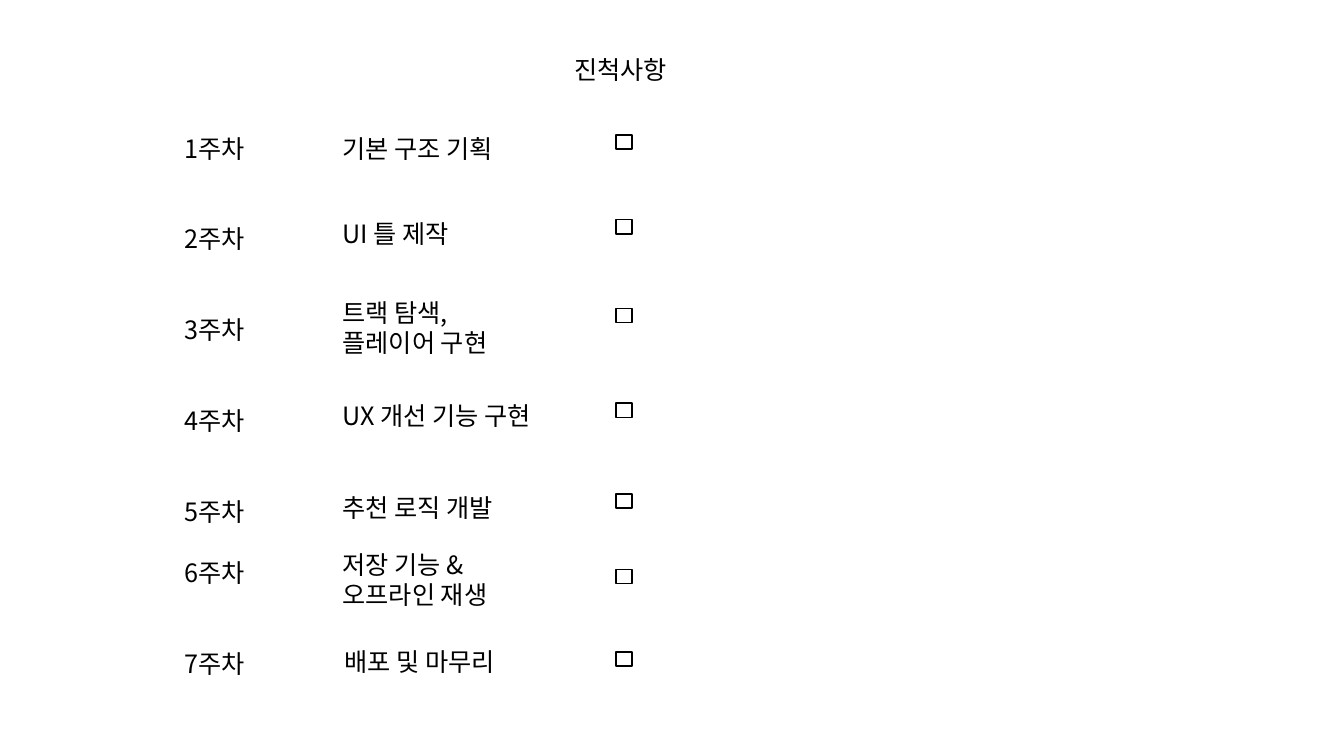
"""Build a seven-week progress checklist slide."""
from lxml import etree
from pptx import Presentation
from pptx.dml.color import RGBColor
from pptx.enum.shapes import MSO_SHAPE
from pptx.enum.text import MSO_AUTO_SIZE
from pptx.oxml.ns import qn
from pptx.util import Pt

HEADING = "진척사항"
# left, top, width of the task text, then top of its checkbox
TASKS = [
    (["기본 구조 기획"], 237.6, 91.4, 136.1, 96.5),
    (["UI 틀 제작"], 237.6, 152.6, 139, 157),
    (["트랙 탐색,", "플레이어 구현"], 237.6, 208.8, 139, 220.3),
    (["UX 개선 기능 구현"], 237.6, 282.2, 165.6, 288),
    (["추천 로직 개발"], 237.6, 347.8, 159.8, 352.8),
    (["저장 기능 & 오프라인 재생"], 237.6, 388.8, 154.1, 406.8),
    (["배포 및 마무리"], 239, 457.9, 159.8, 465.8),
]
WEEK_GAPS = [0, 2, 2, 2, 2, 1, 2]

FONT = "Noto Sans CJK KR"
BLACK = RGBColor(0, 0, 0)
WHITE = RGBColor(255, 255, 255)
RECTANGLE = MSO_SHAPE.RECTANGLE
GROW = MSO_AUTO_SIZE.SHAPE_TO_FIT_TEXT
LINE_PITCH = 21.65
CHECK_LEFT, CHECK_WIDTH, CHECK_HEIGHT = 439.9, 11.5, 10.1


def add_text(page, lines, left, top, width, height, size=18, gaps=None):
    box = page.shapes.add_textbox(Pt(left), Pt(top), Pt(width), Pt(height))
    frame = box.text_frame
    frame.word_wrap = True
    frame.auto_size = GROW
    for index, line in enumerate(lines):
        para = frame.paragraphs[0] if index == 0 else frame.add_paragraph()
        if gaps:
            para.space_before = Pt(gaps[index] * LINE_PITCH)
        span = para.add_run()
        span.text = line
        span.font.size = Pt(size)
        span.font.name = FONT
        span.font.color.rgb = BLACK
        etree.SubElement(span.font._element, qn("a:ea")).set("typeface", FONT)


def add_checkbox(page, top):
    box = page.shapes.add_shape(
        RECTANGLE, Pt(CHECK_LEFT), Pt(top), Pt(CHECK_WIDTH), Pt(CHECK_HEIGHT))
    box.shadow.inherit = False
    box.fill.solid()
    box.fill.fore_color.rgb = WHITE
    box.line.color.rgb = BLACK
    box.line.width = Pt(1)


def main():
    deck = Presentation()
    deck.slide_width, deck.slide_height = Pt(960), Pt(540)
    page = deck.slides.add_slide(deck.slide_layouts[6])
    for lines, left, top, width, check_top in TASKS:
        height = 7.2 + LINE_PITCH * (2 if top in (208.8, 388.8) else 1)
        add_text(page, lines, left, top, width, height)
        add_checkbox(page, check_top)
    weeks = [f"{number}주차" for number in range(1, len(TASKS) + 1)]
    add_text(page, weeks, 124.6, 91.4, 146.9, 399.6, gaps=WEEK_GAPS)
    add_text(page, [HEADING], 403.2, 35.3, 122.4, 28.8)
    deck.save("out.pptx")


if __name__ == "__main__":
    main()
